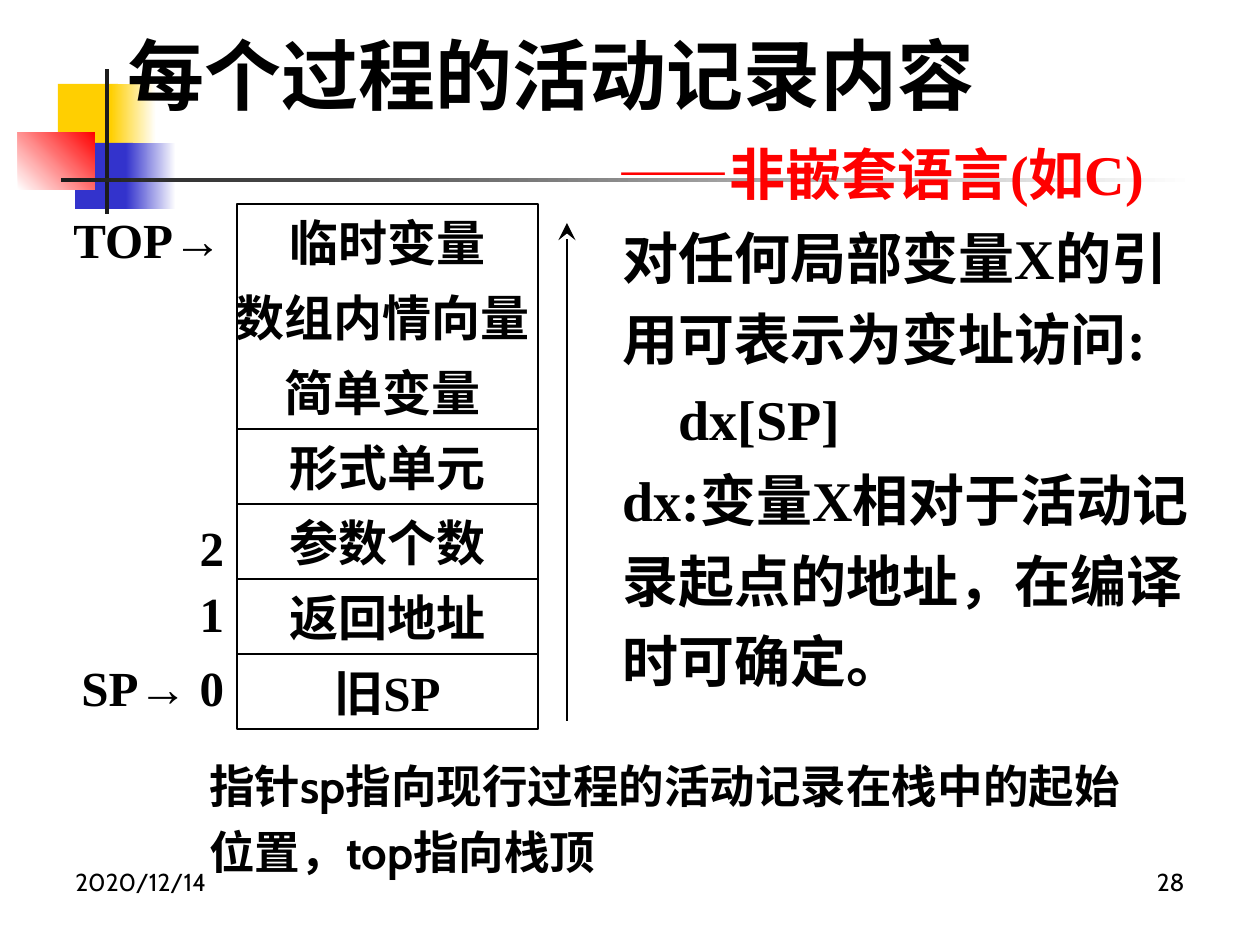
from dataclasses import dataclass

from lxml import etree
from pptx import Presentation
from pptx.dml.color import RGBColor
from pptx.enum.shapes import MSO_CONNECTOR, MSO_SHAPE
from pptx.enum.text import MSO_ANCHOR, MSO_AUTO_SIZE, PP_ALIGN
from pptx.oxml.ns import qn
from pptx.util import Pt

LEFT, CENTER, RIGHT = PP_ALIGN.LEFT, PP_ALIGN.CENTER, PP_ALIGN.RIGHT
TOP, MIDDLE = MSO_ANCHOR.TOP, MSO_ANCHOR.MIDDLE
RECTANGLE = MSO_SHAPE.RECTANGLE
TITLE_ONLY = 5
PX = 914400 // 126


@dataclass(frozen=True)
class Theme:
    serif: str = "Times New Roman"
    sans: str = "Cabin"
    ink: str = "000000"
    accent: str = "FF0000"
    yellow: str = "FFCF01"
    blue: str = "3333CC"
    rule: str = "1C1C1C"
    paper: str = "FFFFFF"
    title: int = 44
    body: int = 32
    cell: int = 28
    caption: int = 26
    footer: int = 14
    line: float = 1.5


THEME = Theme()

# box, colours (one is solid, two are a gradient), gradient angle
ORNAMENTS = [
    ((58, 84, 60, 66), (THEME.yellow,), 0),
    ((111, 84, 45, 66), (THEME.yellow, THEME.paper), 0),
    ((75, 143, 58, 66), (THEME.blue,), 0),
    ((126, 143, 50, 66), (THEME.blue, THEME.paper), 0),
    ((18, 132, 77, 58), (THEME.paper, THEME.accent), 45),
    ((105, 69, 4, 145), (THEME.rule,), 0),
    ((61, 178, 1134, 4), (THEME.rule, THEME.paper), 0),
]

TITLE_BOX = (44, 16, 1208, 202)
# text, size, colour, left margin in px, space before in points
TITLE_LINES = [
    ("每个过程的活动记录内容", THEME.title, THEME.ink, 71, 0),
    ("——非嵌套语言(如C)", THEME.body, THEME.accent, 561, 11),
]

# text, shift of its centre in px, outlined: from the top of the record down
RECORD = [
    ("临时变量", 0, False),
    ("数组内情向量", -5, False),
    ("简单变量", -5, False),
    ("形式单元", 0, True),
    ("参数个数", 0, True),
    ("返回地址", 0, True),
    ("旧SP", 0, False),
]
RECORD_LEFT, RECORD_TOP, RECORD_WIDTH, ROW = 237, 204, 301, 75
LABEL_MARGIN = 20

# text, right edge, top
POINTERS = [
    ("TOP→", 222, 206),
    ("2", 224, 514),
    ("1", 224, 580),
    ("SP→ 0", 224, 654),
]
POINTER_WIDTH, POINTER_HEIGHT = 200, 66

# text, left margin in px
EXPLANATION = [
    ("对任何局部变量X的引用可表示为变址访问:", 0),
    ("dx[SP]", 56),
    ("dx:变量X相对于活动记录起点的地址，在编译时可确定。", 0),
]
EXPLANATION_BOX = (610, 204, 620, 536)
CAPTION = "指针sp指向现行过程的活动记录在栈中的起始位置，top指向栈顶"
CAPTION_BOX = (197, 741, 959, 137)
FOOTERS = [
    ("2020/12/14", (63, 861, 294, 66), LEFT),
    ("28", (903, 861, 294, 66), RIGHT),
]
GROWTH_ARROW = (567, 721, 567, 223)


def emu(lengths):
    return [length * PX for length in lengths]


def add_span(para, text, size, font, color=THEME.ink, bold=True):
    span = para.add_run()
    span.text = text
    span.font.size, span.font.name, span.font.bold = Pt(size), font, bold
    span.font.color.rgb = RGBColor.from_string(color)


def set_margin(para, margin):
    properties = para._p.get_or_add_pPr()
    properties.set("marL", str(margin * PX))
    properties.set("indent", "0")


def add_text(page, box, lines, size, font=THEME.serif, align=LEFT,
             spacing=1.0, bold=True):
    """Add a text box; lines are (text, left margin) pairs."""
    frame = page.shapes.add_textbox(*emu(box)).text_frame
    frame.word_wrap, frame.vertical_anchor = True, TOP
    for index, (text, margin) in enumerate(lines):
        para = frame.add_paragraph() if index else frame.paragraphs[0]
        set_margin(para, margin)
        para.alignment, para.line_spacing = align, spacing
        add_span(para, text, size, font, bold=bold)
    return frame


def add_label(page, text, box, align):
    """Add one line without side insets, centred on the box's height."""
    frame = add_text(page, box, [(text, 0)], THEME.cell, align=align)
    frame.vertical_anchor = MIDDLE
    frame.margin_left = frame.margin_right = 0


def add_ornament(page, box, colors, angle):
    shape = page.shapes.add_shape(RECTANGLE, *emu(box))
    shape.shadow.inherit = False
    shape.line.fill.background()
    if len(colors) == 1:
        shape.fill.solid()
        shape.fill.fore_color.rgb = RGBColor.from_string(colors[0])
        return
    shape.fill.gradient()
    shape.fill.gradient_angle = angle
    for stop, color in zip(shape.fill.gradient_stops, colors):
        stop.color.rgb = RGBColor.from_string(color)


def style_line(line):
    line.color.rgb = RGBColor.from_string(THEME.ink)
    line.width = Pt(THEME.line)


def add_outline(page, box):
    shape = page.shapes.add_shape(RECTANGLE, *emu(box))
    shape.shadow.inherit = False
    shape.fill.background()
    style_line(shape.line)


def add_record(page):
    add_outline(page, (RECORD_LEFT, RECORD_TOP, RECORD_WIDTH, ROW * len(RECORD)))
    for index, (text, shift, outlined) in enumerate(RECORD):
        top = RECORD_TOP + index * ROW
        if outlined:
            add_outline(page, (RECORD_LEFT, top, RECORD_WIDTH, ROW))
        label_box = (RECORD_LEFT - LABEL_MARGIN + shift, top,
                     RECORD_WIDTH + 2 * LABEL_MARGIN, ROW)
        add_label(page, text, label_box, CENTER)


def add_arrow(page, ends):
    arrow = page.shapes.add_connector(MSO_CONNECTOR.STRAIGHT, *emu(ends))
    style_line(arrow.line)
    etree.SubElement(arrow.line._get_or_add_ln(), qn("a:tailEnd"),
                     type="stealth", w="lg", len="lg")
    etree.SubElement(arrow._element.spPr, qn("a:effectLst"))


def fill_title(page):
    title = page.shapes.title
    title.left, title.top, title.width, title.height = emu(TITLE_BOX)
    frame = title.text_frame
    frame.auto_size, frame.vertical_anchor = MSO_AUTO_SIZE.NONE, MIDDLE
    for index, (text, size, color, margin, before) in enumerate(TITLE_LINES):
        para = frame.add_paragraph() if index else frame.paragraphs[0]
        set_margin(para, margin)
        para.alignment, para.space_before = LEFT, Pt(before)
        add_span(para, text, size, THEME.serif, color)
    page.shapes._spTree.append(title._element)  # in front of the ornaments


def main():
    deck = Presentation()
    deck.slide_width, deck.slide_height = emu((1260, 945))
    page = deck.slides.add_slide(deck.slide_layouts[TITLE_ONLY])
    for ornament in ORNAMENTS:
        add_ornament(page, *ornament)
    for text, box, align in FOOTERS:
        add_text(page, box, [(text, 0)], THEME.footer, THEME.sans, align, bold=False)
    add_text(page, EXPLANATION_BOX, EXPLANATION, THEME.body, spacing=1.2)
    add_record(page)
    for text, right, top in POINTERS:
        box = (right - POINTER_WIDTH, top, POINTER_WIDTH, POINTER_HEIGHT)
        add_label(page, text, box, RIGHT)
    add_arrow(page, GROWTH_ARROW)
    fill_title(page)
    add_text(page, CAPTION_BOX, [(CAPTION, 0)], THEME.caption, THEME.sans, spacing=1.2)
    deck.save("out.pptx")


if __name__ == "__main__":
    main()
